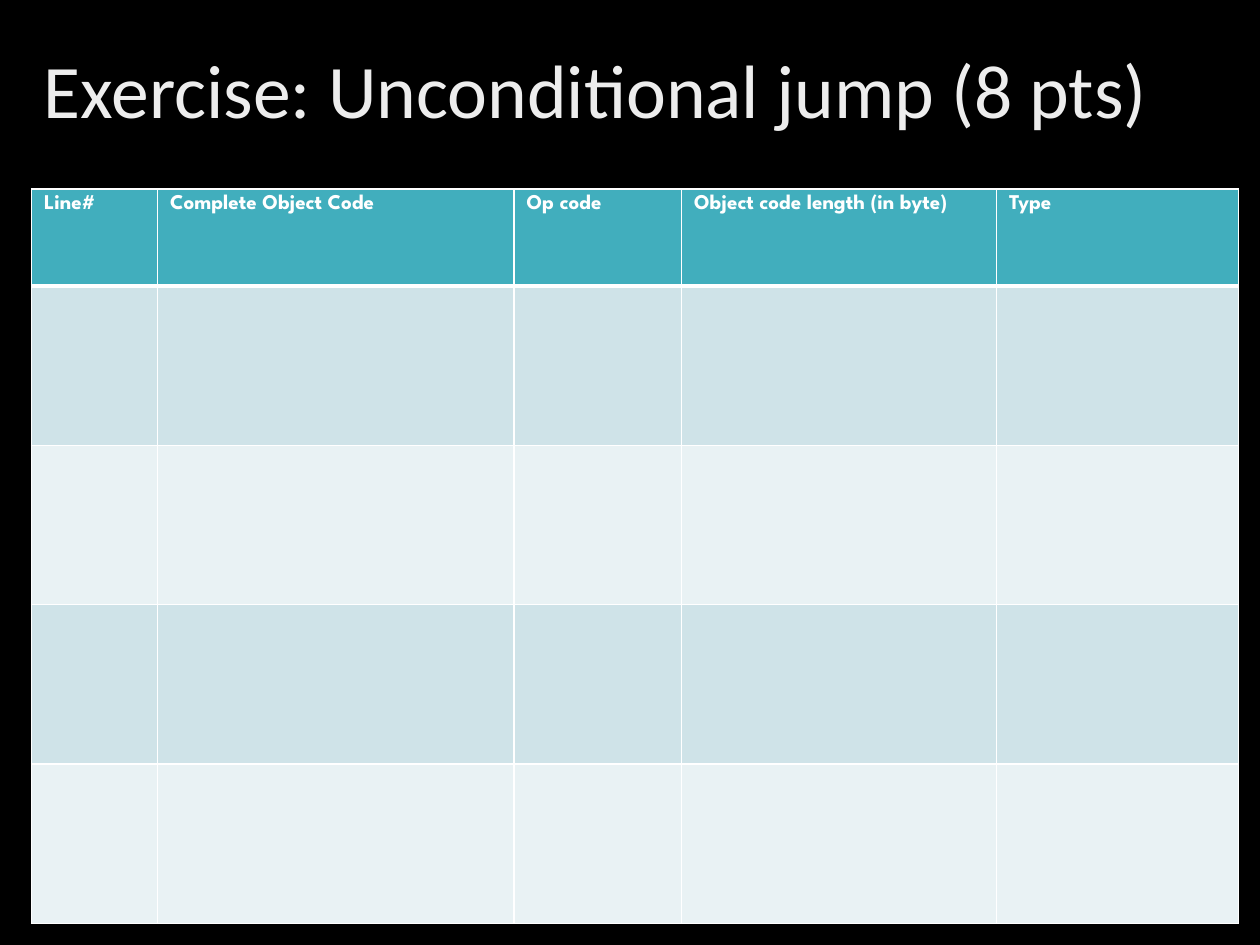
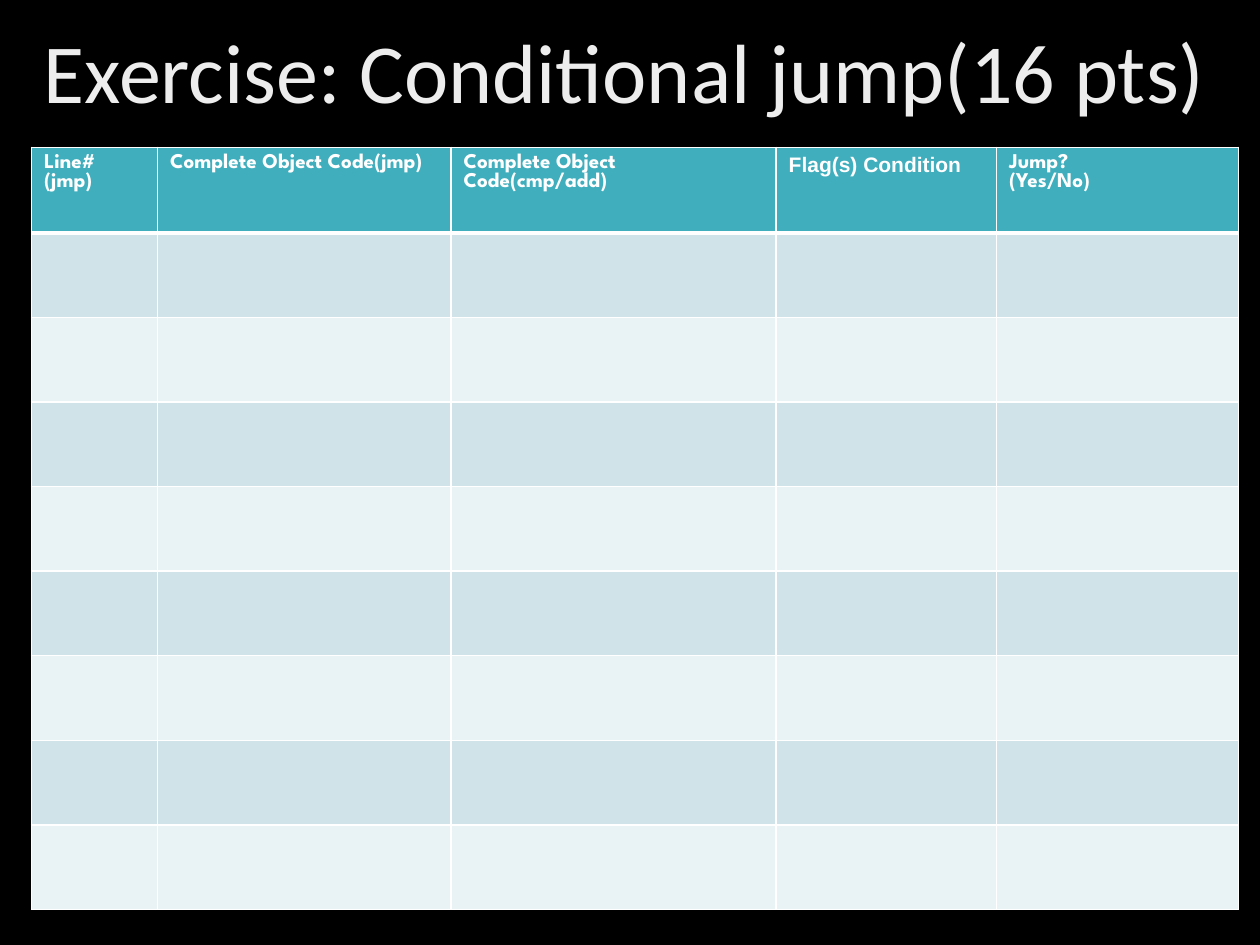
from dataclasses import dataclass

from lxml.etree import SubElement
from pptx import Presentation
from pptx.dml.color import RGBColor as RGB
from pptx.enum.text import MSO_ANCHOR as Anchor
from pptx.oxml.ns import qn
from pptx.util import Inches, Pt


@dataclass(frozen=True)
class Theme:
    background: str = "000000"
    title: str = "EDEDED"
    header: str = "41AEBD"
    bands: tuple = ("CFE3E8", "E9F2F4")
    white: str = "FFFFFF"
    title_font: str = "Calibri"
    header_font: str = "League Spartan"
    header_size: float = 12
    border: float = 1
    header_border: float = 3


THEME = Theme()
TABLE_LEFT, TABLE_WIDTH = 0.25, 9.58


def set_font(p, color, **values):
    for name, value in values.items():
        setattr(p.font, name, value)
    p.font.color.rgb = RGB.from_string(color)


def add_slide(prs):
    s = prs.slides.add_slide(prs.slide_layouts[6])
    s.background.fill.solid()
    s.background.fill.fore_color.rgb = RGB.from_string(THEME.background)
    return s


def add_title(s, text, size, top, width, height):
    sp = s.shapes.add_textbox(Inches(TABLE_LEFT), Inches(top),
                              Inches(width), Inches(height))
    tf = sp.text_frame
    tf.word_wrap = True
    tf.vertical_anchor = Anchor.MIDDLE
    p = tf.paragraphs[0]
    p.text = text
    p.line_spacing = 0.9
    set_font(p, THEME.title, name=THEME.title_font, size=Pt(size))


def set_borders(cell, top, bottom):
    """Draw the four cell borders; widths are in points."""
    widths = {"L": THEME.border, "R": THEME.border, "T": top, "B": bottom}
    tc_pr = cell._tc.get_or_add_tcPr()
    for index, (side, width) in enumerate(widths.items()):
        ln = SubElement(tc_pr, qn(f"a:ln{side}"), w=str(Pt(width)))
        fill = SubElement(ln, qn("a:solidFill"))
        SubElement(fill, qn("a:srgbClr"), val=THEME.white)
        tc_pr.insert(index, ln)


def style_cell(cell, row):
    color = THEME.bands[(row - 1) % 2] if row else THEME.header
    cell.fill.solid()
    cell.fill.fore_color.rgb = RGB.from_string(color)
    set_borders(cell,
                top=THEME.header_border if row == 1 else THEME.border,
                bottom=THEME.header_border if row == 0 else THEME.border)


def add_answer_table(s, headers, col_widths, top, height, header_height,
                     answer_rows, fonts=None):
    """Add a header row above equal, empty answer rows."""
    table = s.shapes.add_table(answer_rows + 1, len(headers),
                               Inches(TABLE_LEFT), Inches(top),
                               Inches(TABLE_WIDTH), Inches(height)).table
    for column, width in zip(table.columns, col_widths):
        column.width = Inches(width)
    answer_height = (height - header_height) / answer_rows
    for i, row in enumerate(table.rows):
        row.height = Inches(answer_height if i else header_height)
        for cell in row.cells:
            style_cell(cell, i)

    # Header labels
    for col, label in enumerate(headers):
        tf = table.cell(0, col).text_frame
        tf.text = label
        font = (fonts or {}).get(label, THEME.header_font)
        for p in tf.paragraphs:
            set_font(p, THEME.white, name=font, bold=True,
                     size=Pt(THEME.header_size))


def main():
    prs = Presentation()
    prs.slide_width, prs.slide_height = Inches(10), Inches(7.5)

    # Unconditional jump
    s = add_slide(prs)
    add_title(s, "Exercise: Unconditional jump (8 pts)", 43.2,
              top=0.08, width=9.75, height=1.33)
    add_answer_table(
        s, ["Line#", "Complete Object Code", "Op code",
            "Object code length (in byte)", "Type"],
        [1, 2.83, 1.33, 2.5, 1.92],
        top=1.5, height=5.83, header_height=0.77, answer_rows=4)

    # Conditional jump
    s = add_slide(prs)
    add_title(s, "Exercise: Conditional jump(16 pts)", 48,
              top=-0.12, width=9.58, height=1.45)
    add_answer_table(
        s, ["Line# (jmp)", "Complete Object Code(jmp)",
            "Complete Object Code(cmp/add)", "Flag(s) Condition",
            "Jump?\n(Yes/No)"],
        [1, 2.33, 2.58, 1.75, 1.92],
        top=1.17, height=6.05, header_height=0.68, answer_rows=8,
        fonts={"Flag(s) Condition": "Arial"})

    prs.save("out.pptx")


if __name__ == "__main__":
    main()
